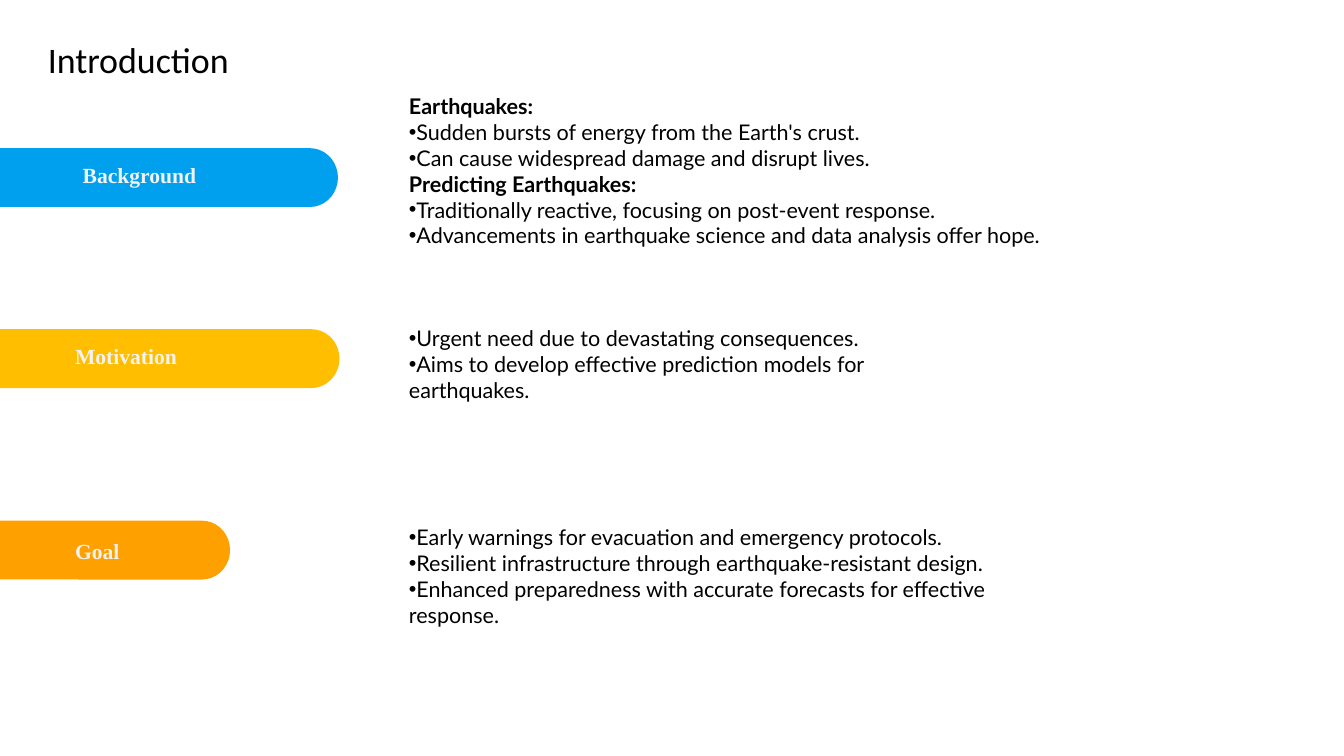
import math
from pptx import Presentation, util as u
from pptx.dml import color
from pptx.enum import text as t
from lxml import etree

SIZE = (52.81, 29.69)
TITLE = ("Introduction", (1.63, 1.37, 12.07, 1.96))
BAR_H, CAP = 2.31, 1.1
BODY_X = 15.82
ROWS = [
    {"name": "Background", "fill": "00A0EF", "bar": (5.82, 13.28),
     "label": (3.25, 6.35), "body": (3.53, 36.9, 7.95),
     "lines": ["# Earthquakes:",
               "Sudden bursts of energy from the Earth's crust.",
               "Can cause widespread damage and disrupt lives.",
               "# Predicting Earthquakes:",
               "Traditionally reactive, focusing on post-event response.",
               "Advancements in earthquake science and data analysis offer hope."]},
    {"name": "Motivation", "fill": "FFBF00", "bar": (12.93, 13.34),
     "label": (2.95, 13.46), "body": (12.65, 21.95, 3.33),
     "lines": ["Urgent need due to devastating consequences.",
               "Aims to develop effective prediction models for earthquakes."]},
    {"name": "Goal", "fill": "FFA001", "bar": (20.45, 9.04),
     "label": (2.95, 21.13), "body": (20.47, 25.27, 4.37),
     "lines": ["Early warnings for evacuation and emergency protocols.",
               "Resilient infrastructure through earthquake-resistant design.",
               "Enhanced preparedness with accurate forecasts for effective response."]},
]

deck = Presentation()
deck.slide_width, deck.slide_height = map(u.Cm, SIZE)
slide = deck.slides.add_slide(deck.slide_layouts[6])


def rgb(code):
    return color.RGBColor.from_string(code)


def style(para, font, size, code, bold=False):
    for run in para.runs:
        run.font.name, run.font.size, run.font.bold = font, u.Pt(size), bold
        run.font.color.rgb = rgb(code)


def add_box(rect):
    frame = slide.shapes.add_textbox(*map(u.Cm, rect)).text_frame
    frame.word_wrap = True
    return frame


def add_bar(top, right, fill):
    mid = top + BAR_H / 2
    turns = [math.radians(a) for a in range(-90, 91, 10)]
    arc = [(right - CAP + CAP * math.cos(a), mid + BAR_H / 2 * math.sin(a))
           for a in turns]
    path = slide.shapes.build_freeform(0, u.Cm(top))
    path.add_line_segments([(u.Cm(x), u.Cm(y)) for x, y in arc + [(0, top + BAR_H)]])
    bar = path.convert_to_shape()
    bar.shadow.inherit = False
    bar.fill.solid()
    bar.fill.fore_color.rgb = rgb(fill)
    bar.line.fill.background()


def add_label(name, left, top):
    frame = add_box((left, top, 6.5, 1.07))
    frame.margin_left = frame.margin_top = frame.margin_right = frame.margin_bottom = 0
    frame.text = name
    style(frame.paragraphs[0], "Times New Roman", 24, "F2F2F2", True)


def add_bullet(para):
    props = para._p.get_or_add_pPr()
    space = "{http://schemas.openxmlformats.org/drawingml/2006/main}"
    etree.SubElement(props, space + "buFont", typeface="Arial")
    etree.SubElement(props, space + "buChar", char="•")


def add_body(lines, top, width, height):
    frame = add_box((BODY_X, top, width, height))
    frame.vertical_anchor = t.MSO_ANCHOR.TOP
    frame.text = "\n".join(line.removeprefix("# ") for line in lines)
    for line, para in zip(lines, frame.paragraphs):
        head = line.startswith("# ")
        if not head:
            add_bullet(para)
        style(para, "Lato", 24, "000000", head)


title = add_box(TITLE[1])
title.text = TITLE[0]
style(title.paragraphs[0], "Calibri", 40, "000000")
for row in ROWS:
    add_bar(*row["bar"], row["fill"])
    add_label(row["name"], *row["label"])
    add_body(row["lines"], *row["body"])
deck.save("out.pptx")
